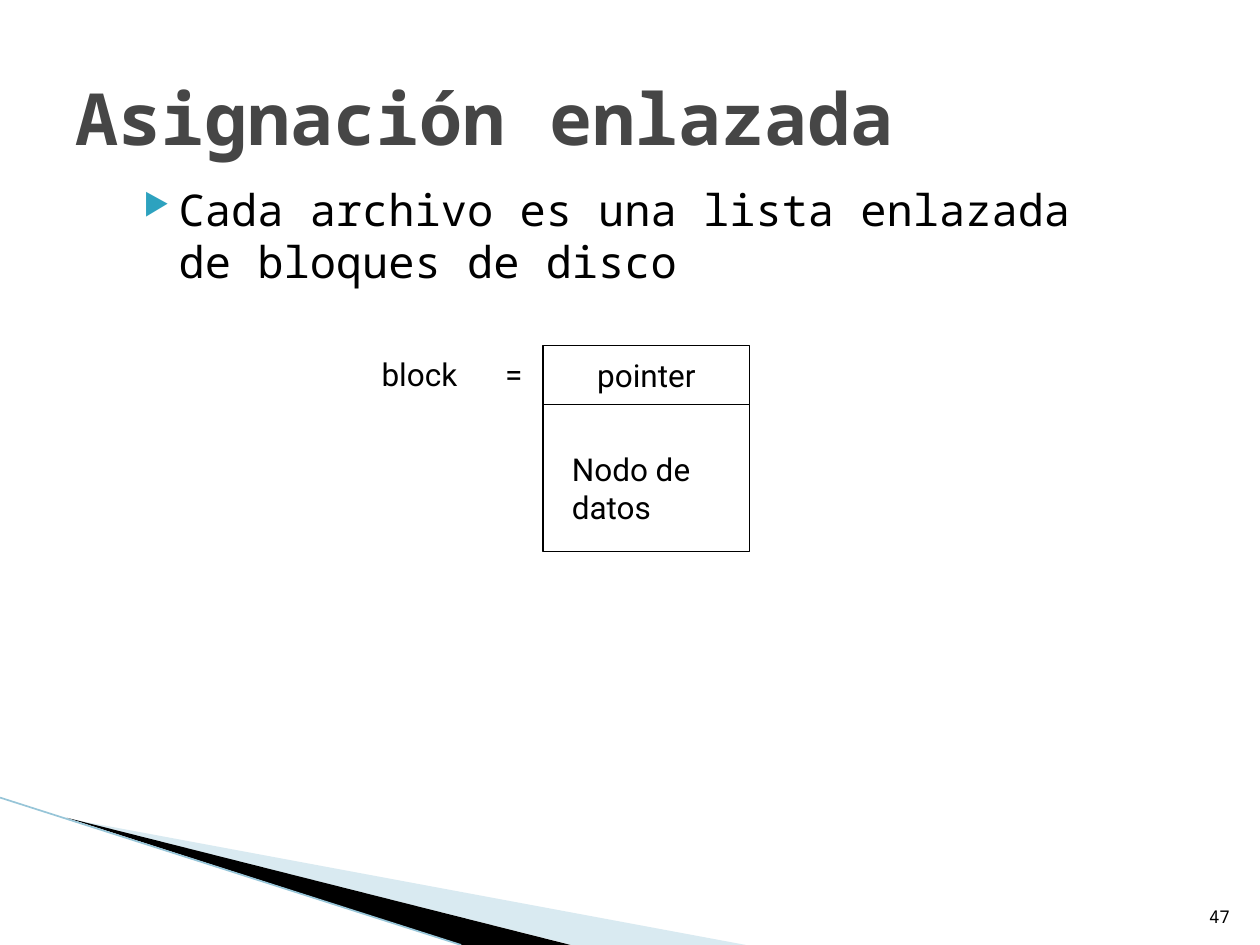
import pptx
import pptx.dml.color
import pptx.enum.shapes
import pptx.enum.text
import pptx.oxml.ns
import pptx.util
from lxml import etree
from pptx.util import Inches

MONO = "Noto Sans Mono"
SANS = "Roboto"
ALIGN = pptx.enum.text.PP_ALIGN
ANCHOR = pptx.enum.text.MSO_ANCHOR


def rgb(color):
    return pptx.dml.color.RGBColor.from_string(color)


def sub(parent, tag, **attrs):
    return etree.SubElement(parent, pptx.oxml.ns.qn(tag), attrs)


def write(sp, text, size, font, color="000000", bold=False,
          align=ALIGN.LEFT, anchor=ANCHOR.TOP, wrap=True):
    tf = sp.text_frame
    tf.word_wrap = wrap
    tf.vertical_anchor = anchor
    p = tf.paragraphs[0]
    p.alignment = align
    r = p.add_run()
    r.text = text
    r.font.size = pptx.util.Pt(size)
    r.font.name = font
    r.font.bold = bold
    r.font.color.rgb = rgb(color)
    return p


def add_text(s, box, text, size, font, **style):
    sp = s.shapes.add_textbox(*map(Inches, box))
    return write(sp, text, size, font, **style)


def add_title(s, text):
    sp = s.shapes.title
    sp.left, sp.top, sp.width, sp.height = map(Inches, (0.5, 0.3, 9, 1.25))
    write(sp, text, 41, MONO, color="464646", bold=True, anchor=ANCHOR.MIDDLE)


def add_bullet(p):
    pPr = p._p.get_or_add_pPr()
    pPr.set("marL", str(Inches(0.4)))
    pPr.set("indent", str(Inches(-0.28)))
    sub(sub(pPr, "a:buClr"), "a:srgbClr", val="2DA2BF")
    sub(pPr, "a:buSzPct", val="68000")
    sub(pPr, "a:buChar", char="▶")


def add_tab_stop(p, position):
    tabs = sub(p._p.get_or_add_pPr(), "a:tabLst")
    sub(tabs, "a:tab", pos=str(Inches(position)), algn="l")


def add_cell(s, top, height):
    sp = s.shapes.add_shape(pptx.enum.shapes.MSO_SHAPE.RECTANGLE, Inches(4.31),
                            Inches(top), Inches(1.64), Inches(height))
    sp.shadow.inherit = False
    sp.fill.solid()
    sp.fill.fore_color.rgb = rgb("FFFFFF")
    sp.line.color.rgb = rgb("000000")
    sp.line.width = pptx.util.Pt(0.75)
    return sp


def add_wedge(s, points, color, opacity=100):
    start, *rest = [(Inches(x), Inches(y)) for x, y in points]
    builder = s.shapes.build_freeform(*start)
    builder.add_line_segments(rest, close=True)
    sp = builder.convert_to_shape()
    sp.shadow.inherit = False
    sp.fill.solid()
    sp.fill.fore_color.rgb = rgb(color)
    sp.line.fill.background()
    if opacity < 100:
        clr = sp.fill._xPr.find(".//" + pptx.oxml.ns.qn("a:srgbClr"))
        sub(clr, "a:alpha", val=str(opacity * 1000))


def add_line(s, start, end, color, width):
    line = s.shapes.add_connector(pptx.enum.shapes.MSO_CONNECTOR.STRAIGHT,
                                  *map(Inches, start + end))
    line.line.color.rgb = rgb(color)
    line.line.width = pptx.util.Pt(width)
    sub(line._element.spPr, "a:effectLst")


def add_corner(s):
    add_wedge(s, [(0.55, 6.5), (5.92, 7.5), (4.54, 7.5)], "A0CBDC", 40)
    add_wedge(s, [(0.53, 6.49), (4.53, 7.5), (3.66, 7.5)], "000000")
    add_line(s, (0, 6.33), (3.66, 7.5), "97C5D8", 0.95)


def add_block_diagram(s):
    write(add_cell(s, 2.74, 0.47), "pointer", 18, SANS,
          align=ALIGN.CENTER, anchor=ANCHOR.MIDDLE, wrap=False)
    add_cell(s, 3.21, 1.17)
    p = add_text(s, (2.93, 2.77, 1.35, 0.4), "block\t=", 18, SANS,
                 anchor=ANCHOR.MIDDLE)
    add_tab_stop(p, 0.98)
    add_text(s, (4.44, 3.52, 1.35, 0.71), "Nodo de datos", 18, SANS)


def main():
    prs = pptx.Presentation()
    prs.slide_width, prs.slide_height = Inches(10), Inches(7.5)
    s = prs.slides.add_slide(prs.slide_layouts[5])
    add_corner(s)
    add_title(s, "Asignación enlazada")
    p = add_text(s, (0.92, 1.4, 8.04, 0.81),
                 "Cada archivo es una lista enlazada de bloques de disco",
                 25, MONO)
    add_bullet(p)
    add_block_diagram(s)
    add_text(s, (9.46, 7.01, 0.4, 0.4), "47", 10, MONO,
             align=ALIGN.RIGHT, anchor=ANCHOR.BOTTOM)
    prs.save("out.pptx")


if __name__ == "__main__":
    main()
